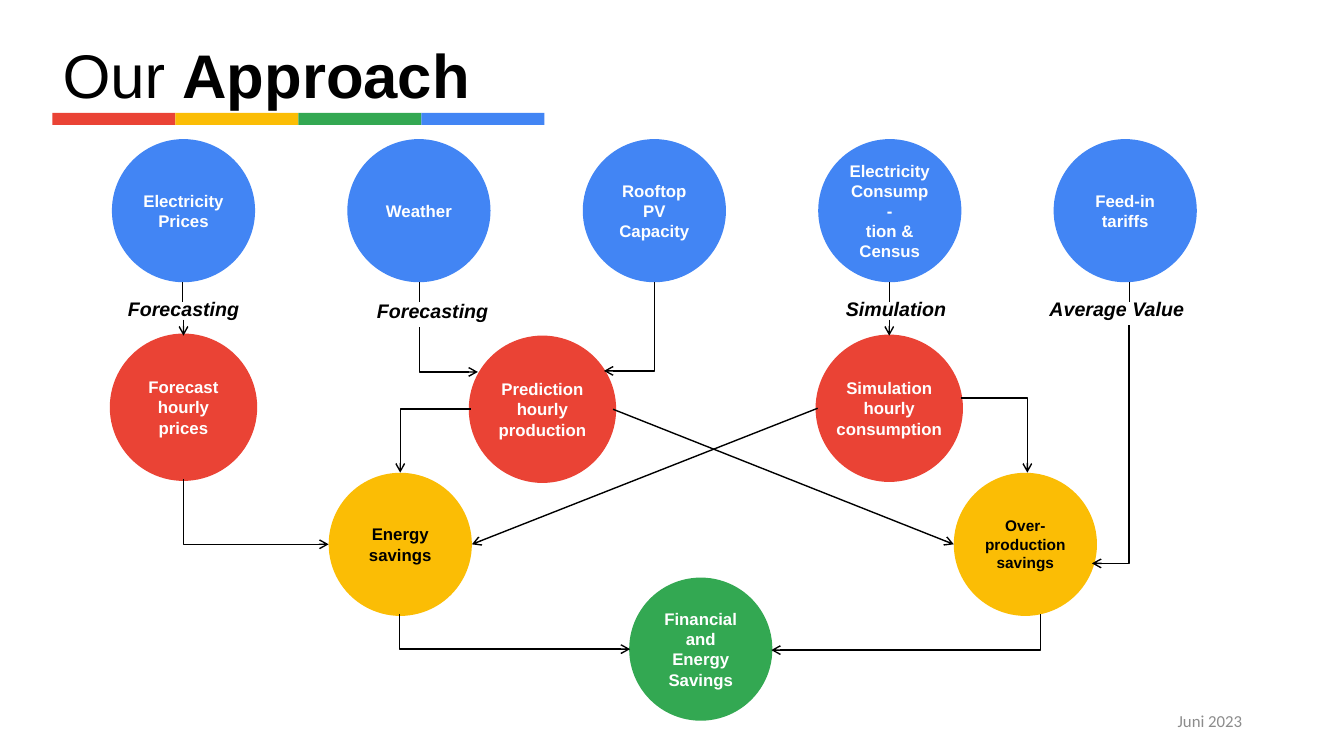
from lxml import etree
from pptx import Presentation
from pptx.dml.color import RGBColor
from pptx.enum.shapes import MSO_CONNECTOR as Link, MSO_SHAPE as Preset
from pptx.enum.text import MSO_ANCHOR as Anchor, PP_ALIGN as Align
from pptx.oxml.ns import qn
from pptx.util import Inches, Pt

RED, YELLOW, GREEN, BLUE = "EA4335", "FBBD05", "33A852", "4285F4"
BLACK, WHITE, GREY = "000000", "FFFFFF", "8C8C8C"
DIAMETER = 1.42


def color(value):
    return RGBColor.from_string(value)


def set_font(font, size, fill, bold=False, italic=False, name="Arial"):
    font.name, font.size, font.bold, font.italic = name, Pt(size), bold, italic
    font.color.rgb = color(fill)


def add_filled(slide, preset, box, fill):
    shape = slide.shapes.add_shape(preset, *map(Inches, box))
    shape.shadow.inherit = False
    shape.fill.solid()
    shape.fill.fore_color.rgb = color(fill)
    shape.line.fill.background()
    return shape


def add_heading(slide, box):
    left, top, width, height = box
    title = slide.shapes.title
    title.left, title.top, title.width, title.height = map(Inches, box)
    title.text_frame.vertical_anchor = Anchor.MIDDLE
    heading = title.text_frame.paragraphs[0]
    heading.alignment = Align.LEFT
    heading.line_spacing = 0.9
    for words, bold in (("Our ", False), ("Approach", True)):
        run = heading.add_run()
        run.text = words
        set_font(run.font, 44, BLACK, bold)
    stripe = 1.22
    for index, fill in enumerate((RED, YELLOW, GREEN, BLUE)):
        add_filled(slide, Preset.RECTANGLE,
                   (left + index * stripe, top + 1.07, stripe, 0.12), fill)


def add_circle(slide, left, top, words, fill, ink=WHITE, size=12, wrap=True):
    circle = add_filled(slide, Preset.OVAL, (left, top, DIAMETER, DIAMETER), fill)
    if fill == RED:
        circle.line.color.rgb = color(RED)
        circle.line.width = Pt(3)
    frame = circle.text_frame
    frame.word_wrap = wrap
    frame.vertical_anchor = Anchor.MIDDLE
    frame.text = words
    for line in frame.paragraphs:
        line.alignment = Align.CENTER
        set_font(line.font, size, ink, bold=True)


def add_text(slide, box, words, align=Align.LEFT, anchor=Anchor.TOP, **style):
    frame = slide.shapes.add_textbox(*map(Inches, box)).text_frame
    frame.word_wrap = True
    frame.vertical_anchor = anchor
    frame.text = words
    frame.paragraphs[0].alignment = align
    set_font(frame.paragraphs[0].font, **style)


def add_link(slide, start, end, arrow=None, kind=Link.STRAIGHT):
    link = slide.shapes.add_connector(kind, *map(Inches, start + end))
    link.line.color.rgb = color(BLACK)
    link.line.width = Pt(1)
    if arrow:
        etree.SubElement(link.line._get_or_add_ln(), qn(f"a:{arrow}"), type="arrow")
    properties = link._element.spPr
    etree.SubElement(properties, qn("a:effectLst"))
    if kind == Link.ELBOW:
        properties.find(qn("a:prstGeom")).set("prst", "bentConnector2")


def add_inputs(slide, left, top):
    inputs = ("Electricity Prices", "Weather", "Rooftop PV Capacity",
              "Electricity\nConsump-\ntion & Census", "Feed-in tariffs")
    for column, words in enumerate(inputs):
        add_circle(slide, left + column * 2.335, top, words, BLUE)


def add_methods(slide, top):
    for left, words in ((1.17, "Forecasting"), (3.64, "Forecasting"),
                        (8.29, "Simulation"), (10.31, "Average Value")):
        nudge = 0.02 if left == 3.64 else 0
        add_text(slide, (left, top + nudge, 1.89, 0.34), words,
                 size=14, fill=BLACK, bold=True, italic=True)
    for x in (1.81, 4.16, 8.82, 11.2):
        add_link(slide, (x, top - 0.1), (x, top + 0.1))
    for x in (1.82, 8.82):
        add_link(slide, (x, top + 0.27), (x, top + 0.43), "tailEnd")


def add_models(slide, top):
    add_circle(slide, 1.11, top, "Forecast hourly prices", RED)
    add_circle(slide, 4.67, top + 0.02, "Prediction\nhourly\nproduction", RED, wrap=False)
    add_circle(slide, 8.11, top + 0.01, "Simulation\nhourly\nconsumption", RED, wrap=False)


def add_savings(slide, top):
    add_circle(slide, 3.26, top, "Energy savings", YELLOW, BLACK)
    add_circle(slide, 9.46, top, "Over-production savings", YELLOW, BLACK, 11)
    add_circle(slide, 6.24, top + 1.04, "Financial and Energy Savings", GREEN)


def add_flows(slide):
    add_link(slide, (8.11, 4.05), (4.68, 5.4), "tailEnd")
    add_link(slide, (6.08, 4.06), (9.46, 5.4), "tailEnd")
    into_side = (((4.74, 3.69), (4.16, 3.24)), ((5.99, 3.68), (6.49, 2.8)),
                 ((3.26, 5.4), (1.82, 4.75)), ((6.25, 6.44), (3.96, 6.09)),
                 ((7.65, 6.45), (10.32, 6.09)), ((10.83, 5.59), (11.2, 3.23)))
    into_top = (((4.67, 4.06), (3.97, 4.69)), ((9.53, 3.95), (10.19, 4.69)))
    for arrow, flows in (("headEnd", into_side), ("tailEnd", into_top)):
        for side, upright in flows:
            add_link(slide, side, upright, arrow, Link.ELBOW)


def main():
    deck = Presentation()
    deck.slide_width, deck.slide_height = Inches(13.33), Inches(7.5)
    slide = deck.slides.add_slide(deck.slide_layouts[5])
    add_heading(slide, (0.52, 0.05, 11.5, 1.45))
    add_inputs(slide, 1.11, 1.38)
    add_models(slide, 3.33)
    add_savings(slide, 4.69)
    add_methods(slide, 2.9)
    add_flows(slide)
    add_text(slide, (9.42, 6.95, 3, 0.4), "Juni 2023", Align.RIGHT, Anchor.MIDDLE,
             size=12, fill=GREY, name="Calibri")
    deck.save("out.pptx")


if __name__ == "__main__":
    main()
